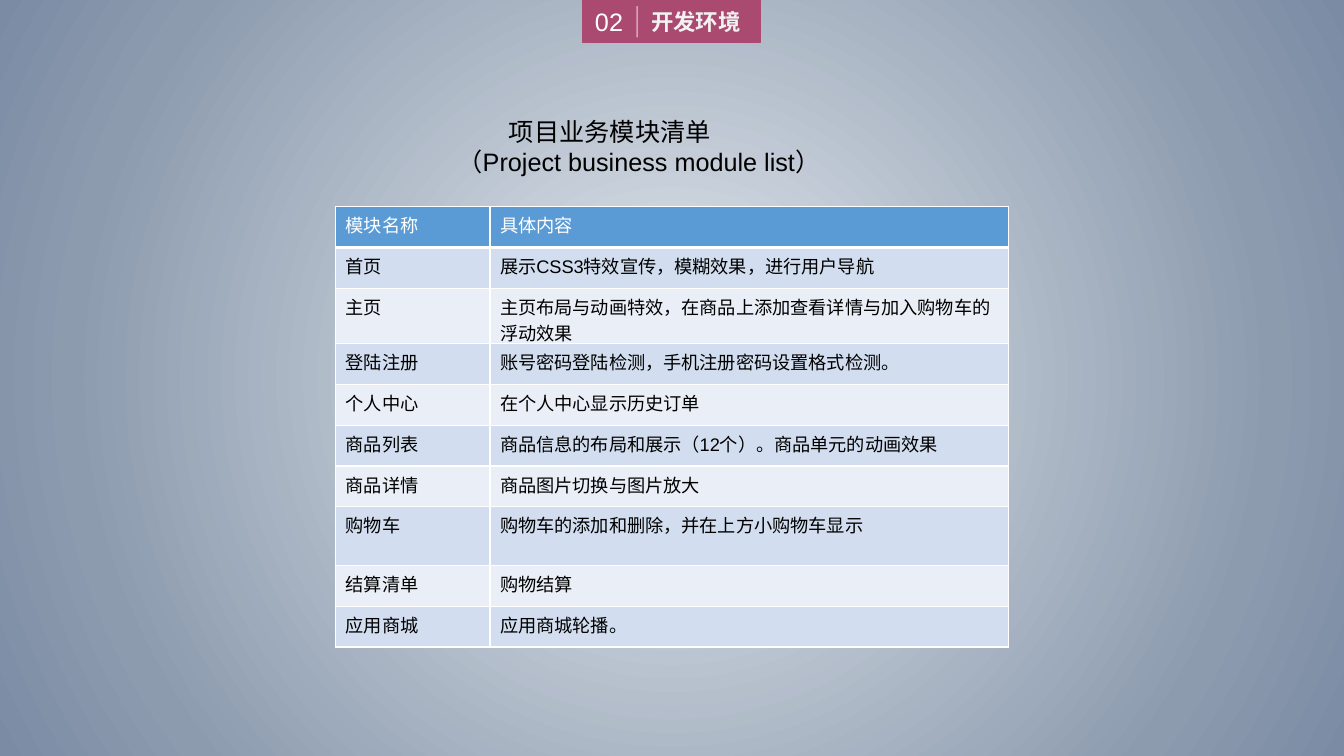
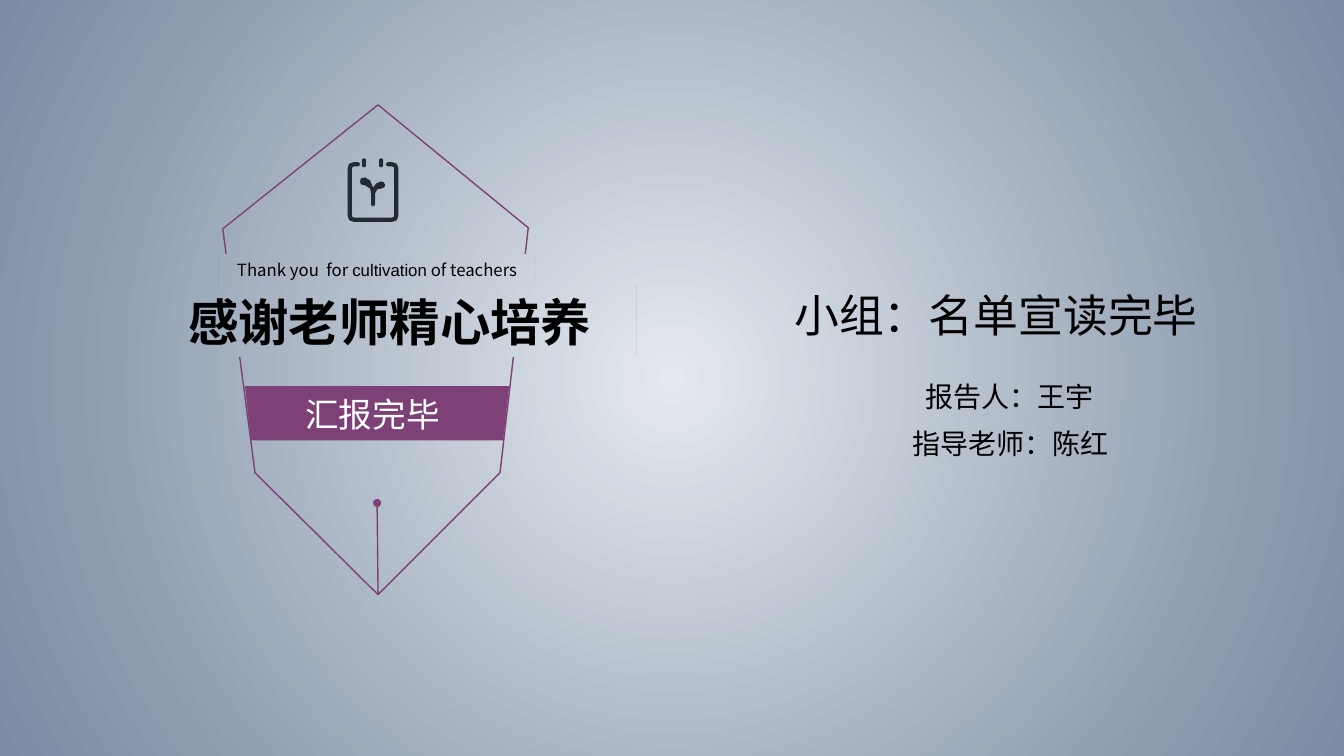
"""Build the module list slide and the closing slide."""
from pptx import Presentation
from pptx.dml.color import RGBColor
from pptx.enum.shapes import MSO_CONNECTOR, MSO_SHAPE
from pptx.enum.text import MSO_ANCHOR, PP_ALIGN
from pptx.oxml import parse_xml
from pptx.oxml.ns import nsdecls, qn
from pptx.util import Inches, Pt

COLORS = {
    "rose": "AB4A70", "plum": "7D4178", "ink": "222A35",
    "text": "000000", "white": "FFFFFF", "soft": "F2F2F2",
    "head": "5B9BD5", "odd": "D2DEEF", "even": "EAEFF7",
}
BACKDROP = [(0, "E4E9EF"), (78, "8C9BAE"), (100, "7B8BA4")]
FONT = "Arial"
MODULES = [
    ("模块名称", "具体内容"),
    ("首页", "展示CSS3特效宣传，模糊效果，进行用户导航"),
    ("主页", "主页布局与动画特效，在商品上添加查看详情与加入购物车的浮动效果"),
    ("登陆注册", "账号密码登陆检测，手机注册密码设置格式检测。"),
    ("个人中心", "在个人中心显示历史订单"),
    ("商品列表", "商品信息的布局和展示（12个）。商品单元的动画效果"),
    ("商品详情", "商品图片切换与图片放大"),
    ("购物车", "购物车的添加和删除，并在上方小购物车显示"),
    ("结算清单", "购物结算"),
    ("应用商城", "应用商城轮播。"),
]
ROW_HEIGHT = 0.405
TALL_ROWS = {2: 0.55, 7: 0.58}
SHELL = [(2.21, 2.27), (3.75, 1.04), (5.24, 2.26), (4.96, 4.69), (3.75, 5.9), (2.53, 4.69)]
BAND = [(2.43, 3.83), (5.05, 3.83), (4.99, 4.37), (2.49, 4.37)]
PAD = [(3.85, 1.63), (3.89, 1.63), (3.92, 1.64), (3.93, 1.67), (3.93, 2.14), (3.92, 2.17),
       (3.89, 2.18), (3.51, 2.18), (3.48, 2.17), (3.47, 2.14), (3.47, 1.67), (3.48, 1.64),
       (3.51, 1.63), (3.55, 1.63)]
SPROUT = [(3.78, 1.87), (3.74, 1.88), (3.72, 1.92), (3.72, 2.03), (3.7, 2.05), (3.68, 2.03),
          (3.68, 1.92), (3.67, 1.87), (3.62, 1.84), (3.58, 1.83), (3.57, 1.8), (3.58, 1.77),
          (3.62, 1.76), (3.67, 1.79), (3.7, 1.86), (3.73, 1.82), (3.78, 1.8), (3.81, 1.81),
          (3.82, 1.84), (3.81, 1.86)]


def rgb(name):
    return RGBColor.from_string(COLORS[name])


def set_backdrop(prs):
    stops = "".join(f'<a:gs pos="{pos * 1000}"><a:srgbClr val="{color}"/></a:gs>'
                    for pos, color in BACKDROP)
    bg = parse_xml(
        f'<p:bg {nsdecls("p", "a")}><p:bgPr><a:gradFill><a:gsLst>{stops}</a:gsLst>'
        '<a:path path="circle"><a:fillToRect l="50000" t="50000" r="50000" b="50000"/></a:path>'
        '</a:gradFill><a:effectLst/></p:bgPr></p:bg>')
    c_sld = prs.slide_master.element.find(qn("p:cSld"))
    for old in c_sld.findall(qn("p:bg")):
        c_sld.remove(old)
    c_sld.insert(0, bg)


def add_run(p, text, size, color="text", **fmt):
    r = p.add_run()
    r.text = text
    r.font.color.rgb = rgb(color)
    for key, value in {"size": Pt(size), "name": FONT, **fmt}.items():
        setattr(r.font, key, value)


def add_text(slide, box, text, size, color="text", align=PP_ALIGN.CENTER, wrap=False, **fmt):
    tf = slide.shapes.add_textbox(*map(Inches, box)).text_frame
    for key, value in {"word_wrap": wrap, "vertical_anchor": MSO_ANCHOR.MIDDLE}.items():
        setattr(tf, key, value)
    p = tf.paragraphs[0]
    p.alignment = align
    add_run(p, text, size, color, **fmt)


def paint(sp, fill=None, line=None, width=1):
    sp.shadow.inherit = False
    if fill:
        sp.fill.solid()
        sp.fill.fore_color.rgb = rgb(fill)
    else:
        sp.fill.background()
    if line:
        sp.line.color.rgb = rgb(line)
        sp.line.width = Pt(width)
    else:
        sp.line.fill.background()


def add_block(slide, kind, box, **look):
    sp = slide.shapes.add_shape(kind, *map(Inches, box))
    paint(sp, **look)
    return sp


def add_outline(slide, points, close=True, **look):
    points = [(Inches(x), Inches(y)) for x, y in points]
    builder = slide.shapes.build_freeform(*points[0])
    builder.add_line_segments(points[1:], close=close)
    sp = builder.convert_to_shape()
    paint(sp, **look)
    return sp


def add_line(slide, ends, color, alpha=None):
    sp = slide.shapes.add_connector(MSO_CONNECTOR.STRAIGHT, *map(Inches, ends))
    sp.line.color.rgb = rgb(color)
    sp.line.width = Pt(1)
    sp_pr = sp.element.spPr
    if alpha:
        clr = next(sp_pr.iter(qn("a:srgbClr")))
        clr.append(parse_xml(f'<a:alpha {nsdecls("a")} val="{alpha * 1000}"/>'))
    sp_pr.append(parse_xml(f'<a:effectLst {nsdecls("a")}/>'))


def add_mask(slide, box, runs):
    sp = add_block(slide, MSO_SHAPE.RECTANGLE, box)
    sp_pr = sp.element.spPr
    sp_pr.remove(sp_pr.find(qn("a:noFill")))
    sp.element.set("useBgFill", "1")
    tf = sp.text_frame
    for key, value in {"word_wrap": False, "vertical_anchor": MSO_ANCHOR.MIDDLE}.items():
        setattr(tf, key, value)
    p = tf.paragraphs[0]
    p.alignment = PP_ALIGN.CENTER
    for text, size, fmt in runs:
        add_run(p, text, size, **fmt)


def add_tab(slide, number, title):
    add_block(slide, MSO_SHAPE.RECTANGLE, (5.78, 0, 1.76, 0.42), fill="rose", line="rose")
    add_text(slide, (6.36, 0.01, 1.61, 0.4), title, 16, "soft", PP_ALIGN.LEFT, True, bold=True)
    add_text(slide, (5.78, 0.01, 0.52, 0.4), number, 18, "white")
    add_line(slide, (6.32, 0.06, 6.32, 0.37), "white", alpha=49)


def add_heading(slide, box, lines):
    tf = slide.shapes.add_textbox(*map(Inches, box)).text_frame
    tf.word_wrap = True
    for i, (text, indent) in enumerate(lines):
        p = tf.add_paragraph() if i else tf.paragraphs[0]
        p._p.get_or_add_pPr().set("marL", str(Inches(indent)))
        add_run(p, text, 18)


def add_borders(cell, bottom=1):
    tc_pr = cell._tc.get_or_add_tcPr()
    for side, width in {"L": 1, "R": 1, "T": 1, "B": bottom}.items():
        tc_pr.append(parse_xml(
            f'<a:ln{side} {nsdecls("a")} w="{Pt(width)}"><a:solidFill>'
            f'<a:srgbClr val="{COLORS["white"]}"/></a:solidFill></a:ln{side}>'))


def add_module_table(slide, left, top, widths, rows):
    heights = [TALL_ROWS.get(i, ROW_HEIGHT) for i in range(len(rows))]
    box = (left, top, sum(widths), sum(heights))
    table = slide.shapes.add_table(len(rows), len(widths), *map(Inches, box)).table
    for col, width in zip(table.columns, widths):
        col.width = Inches(width)
    for i, (row, height) in enumerate(zip(table.rows, heights)):
        row.height = Inches(height)
        fill = "head" if i == 0 else "odd" if i % 2 else "even"
        for cell, text in zip(row.cells, rows[i]):
            add_borders(cell, bottom=1 if i else 3)
            cell.fill.solid()
            cell.fill.fore_color.rgb = rgb(fill)
            add_run(cell.text_frame.paragraphs[0], text, 13, "text" if i else "white", bold=False)


def add_notepad(slide):
    sp = add_outline(slide, PAD, close=False, line="ink", width=3)
    sp.line._ln.set("cap", "rnd")
    for x in (3.59, 3.76):
        tick = add_block(slide, MSO_SHAPE.ROUNDED_RECTANGLE, (x, 1.57, 0.04, 0.09), fill="ink")
        tick.adjustments[0] = 0.5
    add_outline(slide, SPROUT, fill="ink")


def build_modules(slide):
    add_tab(slide, "02", "开发环境")
    add_heading(slide, (3.33, 1.1, 5.24, 0.71),
                [("项目业务模块清单", 1.62), ("（Project business module list）", 1.11)])
    add_module_table(slide, 3.33, 2.05, (1.53, 5.14), MODULES)


def build_closing(slide):
    add_text(slide, (9.05, 3.71, 1.93, 0.44), "报告人：王宇", 20)
    add_text(slide, (8.94, 4.18, 2.17, 0.44), "指导老师：陈红", 20)
    add_text(slide, (7.76, 2.8, 4.24, 0.64), "小组：名单宣读完毕", 32)
    add_outline(slide, SHELL, line="plum")
    add_outline(slide, BAND, fill="plum")
    add_mask(slide, (1.42, 2.83, 4.89, 0.71), [("感谢老师精心培养", 36, {"bold": True})])
    sans = {"name": "Noto Sans CJK SC"}
    add_mask(slide, (2.17, 2.53, 3.14, 0.3),
             [("Thank you  for ", 12, sans), ("cultivation", 12, {}), (" of teachers", 12, sans)])
    add_line(slide, (3.75, 5.9, 3.74, 4.97), "plum")
    add_block(slide, MSO_SHAPE.OVAL, (3.7, 4.95, 0.08, 0.08), fill="plum")
    add_text(slide, (2.93, 3.86, 1.55, 0.5), "汇报完毕", 24, "white", PP_ALIGN.LEFT)
    add_notepad(slide)


def main():
    prs = Presentation()
    prs.slide_width, prs.slide_height = Inches(13.33), Inches(7.5)
    set_backdrop(prs)
    for build in (build_modules, build_closing):
        build(prs.slides.add_slide(prs.slide_layouts[6]))
    prs.save("out.pptx")


if __name__ == "__main__":
    main()
